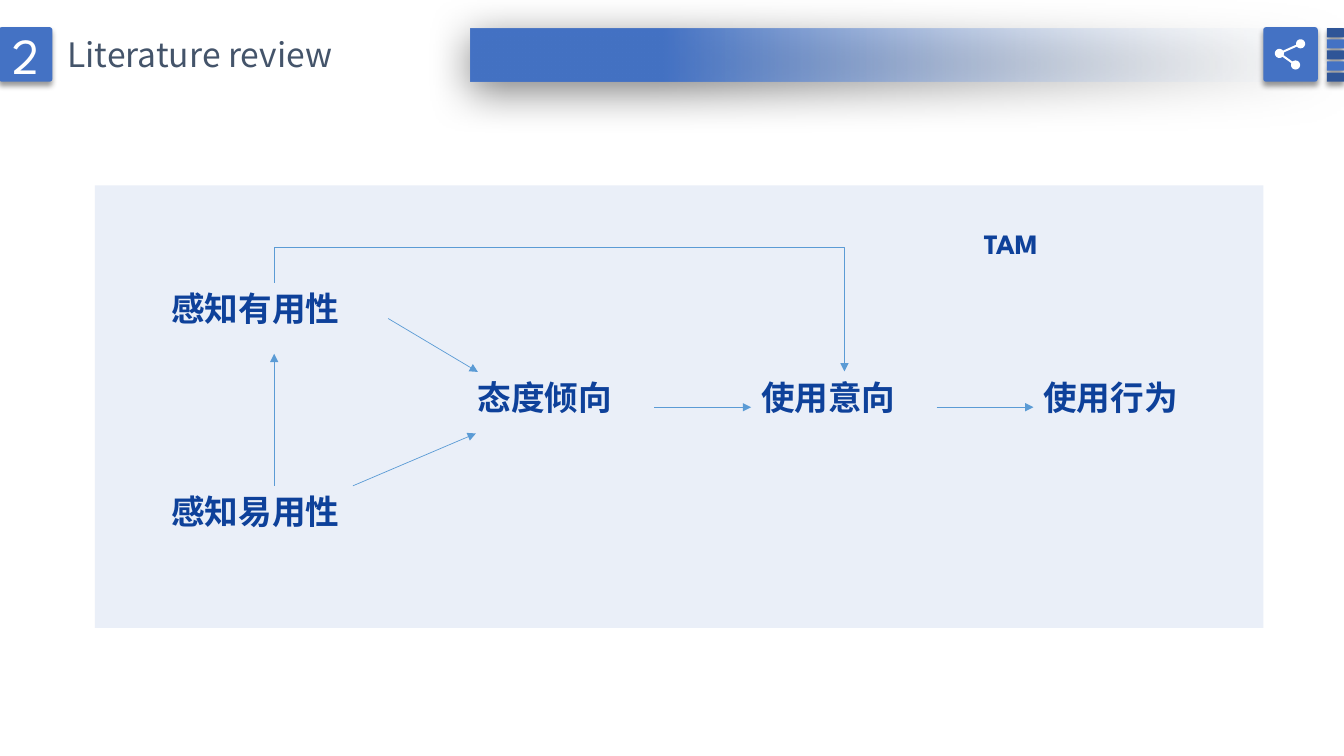
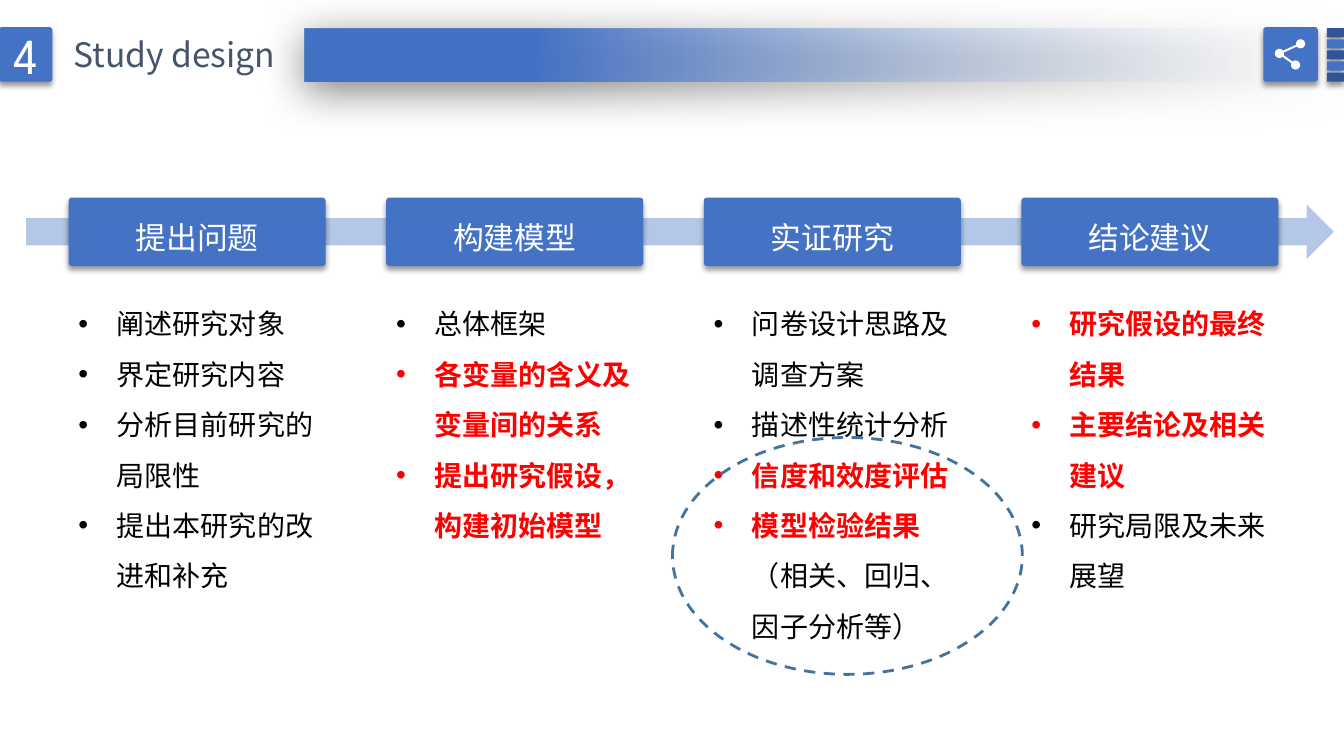
from dataclasses import dataclass
from math import cos, hypot, pi, sin

from lxml.etree import SubElement
from pptx import Presentation
from pptx.dml.color import RGBColor
from pptx.enum.dml import MSO_LINE_DASH_STYLE as DASH
from pptx.enum.shapes import MSO_CONNECTOR as CONN, MSO_SHAPE as SHAPE
from pptx.enum.text import MSO_ANCHOR as ANCHOR, MSO_AUTO_SIZE as AUTO, PP_ALIGN as ALIGN
from pptx.oxml.ns import qn
from pptx.util import Inches, Pt


@dataclass(frozen=True)
class Theme:
    """Colours, fonts and type sizes shared by the slides."""
    blue: str = "4472C4"
    dark_blue: str = "2F5597"
    pale_blue: str = "B4C7E7"
    fade: str = "F7FAFD"
    title: str = "44546A"
    node: str = "0E419A"
    arrow: str = "5B9BD5"
    ring: str = "43739E"
    hot: str = "FF0000"
    black: str = "000000"
    white: str = "FFFFFF"
    display: str = "League Spartan"
    body: str = "Noto Sans CJK SC"
    badge_size: int = 36
    title_size: int = 24
    step_size: int = 22
    text_size: int = 20


@dataclass(frozen=True)
class Shadow:
    """An outer shadow: opacity in percent, lengths in points, angle in degrees."""
    alpha: int
    blur: int
    dist: int
    angle: int


@dataclass(frozen=True)
class Node:
    """A label of the acceptance model."""
    text: str
    left: float
    top: float
    width: float
    size: int = 24


@dataclass(frozen=True)
class Link:
    """A straight arrow between two points."""
    x1: float
    y1: float
    x2: float
    y2: float


@dataclass(frozen=True)
class Part:
    """A run of a bullet, highlighted when hot."""
    text: str
    hot: bool = False


@dataclass(frozen=True)
class Step:
    """A stage of the study with its bullets."""
    name: str
    bullets: tuple[tuple[Part, ...], ...]


T = Theme()
SLIDE_W, SLIDE_H = 13.33, 7.5
TILE_SHADOW = Shadow(40, 4, 3, 90)
BAND_SHADOW = Shadow(50, 31, 6, 97)

NODES = (
    Node("感知有用性", 1.6, 2.81, 2.25),
    Node("感知易用性", 1.6, 4.82, 2.25),
    Node("态度倾向", 4.64, 3.69, 1.85),
    Node("使用意向", 7.45, 3.69, 1.85),
    Node("使用行为", 10.25, 3.69, 1.85),
    Node("TAM", 9.66, 2.2, 0.87, T.text_size),
)
LINKS = (
    Link(2.72, 4.82, 2.72, 3.51),
    Link(3.85, 3.16, 4.74, 3.69),
    Link(3.5, 4.82, 4.72, 4.3),
    Link(6.49, 4.04, 7.45, 4.04),
    Link(9.29, 4.04, 10.25, 4.04),
)
STEPS = (
    Step("提出问题", (
        (Part("阐述研究对象"),),
        (Part("界定研究内容"),),
        (Part("分析目前研究的局限性"),),
        (Part("提出本研究的改进和补充"),))),
    Step("构建模型", (
        (Part("总体框架"),),
        (Part("各变量的含义及变量间的关系", True),),
        (Part("提出研究假设，构建初始模型", True),))),
    Step("实证研究", (
        (Part("问卷设计思路及调查方案"),),
        (Part("描述性统计分析"),),
        (Part("信度和效度评估", True),),
        (Part("模型检验结果", True), Part("（相关、回归、因子分析等）")))),
    Step("结论建议", (
        (Part("研究假设的最终结果", True),),
        (Part("主要结论及相关建议", True),),
        (Part("研究局限及未来展望"),))),
)


def rgb(color: str) -> RGBColor:
    """Turn a hex string into a colour."""
    return RGBColor.from_string(color)


def set_alpha(s, percent: int) -> None:
    """Set the opacity of the first colour of a shape."""
    clr = next(s._element.spPr.iter(qn("a:srgbClr")))
    SubElement(clr, qn("a:alpha"), val=str(percent * 1000))


def add_shadow(s, shadow: Shadow) -> None:
    """Give a shape an outer shadow."""
    effects = s._element.spPr.find(qn("a:effectLst"))
    outer = SubElement(effects, qn("a:outerShdw"), blurRad=str(Pt(shadow.blur)),
                       dist=str(Pt(shadow.dist)), dir=str(shadow.angle * 60000),
                       algn="ctr", rotWithShape="0")
    clr = SubElement(outer, qn("a:srgbClr"), val=T.black)
    SubElement(clr, qn("a:alpha"), val=str(shadow.alpha * 1000))


def add_box(slide, kind: SHAPE, left: float, top: float, width: float, height: float,
            fill: str | None = None):
    """Add a preset shape with a plain fill, no line and no shadow."""
    s = slide.shapes.add_shape(kind, Inches(left), Inches(top), Inches(width), Inches(height))
    s.shadow.inherit = False
    s.line.fill.background()
    if fill:
        s.fill.solid()
        s.fill.fore_color.rgb = rgb(fill)
    else:
        s.fill.background()
    return s


def add_tile(slide, left: float, top: float, width: float, height: float, fill: str = T.blue):
    """Add a slightly rounded tile with a shadow."""
    s = add_box(slide, SHAPE.ROUNDED_RECTANGLE, left, top, width, height, fill)
    s.adjustments[0] = 0.05
    add_shadow(s, TILE_SHADOW)
    return s


def add_run(p, text: str, size: int, color: str, font: str, bold: bool = False) -> None:
    """Add a formatted run to a paragraph."""
    r = p.add_run()
    r.text = text
    r.font.size = Pt(size)
    r.font.bold = bold
    r.font.color.rgb = rgb(color)
    r.font.name = font
    SubElement(r._r.get_or_add_rPr(), qn("a:ea"), typeface=T.body)


def label_tile(s, text: str, size: int, font: str, spacing: float = 1.0) -> None:
    """Write centred white text in a tile."""
    tf = s.text_frame
    tf.vertical_anchor = ANCHOR.MIDDLE
    p = tf.paragraphs[0]
    p.alignment = ALIGN.CENTER
    p.line_spacing = spacing
    add_run(p, text, size, T.white, font)


def add_text(slide, left: float, top: float, width: float, height: float, wrap: bool = False):
    """Add a text box that grows with its text and return its frame."""
    tf = slide.shapes.add_textbox(Inches(left), Inches(top), Inches(width),
                                  Inches(height)).text_frame
    tf.word_wrap = wrap
    tf.auto_size = AUTO.SHAPE_TO_FIT_TEXT
    return tf


def add_arrow(slide, link: Link, kind: CONN = CONN.STRAIGHT):
    """Add a thin connector with an arrowhead at its end."""
    c = slide.shapes.add_connector(kind, Inches(link.x1), Inches(link.y1),
                                   Inches(link.x2), Inches(link.y2))
    c.line.color.rgb = rgb(T.arrow)
    c.line.width = Pt(0.5)
    sp_pr = c._element.spPr
    SubElement(sp_pr.find(qn("a:ln")), qn("a:tailEnd"), type="triangle")
    SubElement(sp_pr, qn("a:effectLst"))
    return c


def add_share_icon(slide) -> None:
    """Draw three linked dots as one white outline."""
    radius, half = 0.045, 0.01
    hub, *ends = dots = ((12.69, 0.53), (12.9, 0.435), (12.85, 0.645))
    turns = [2 * pi * i / 24 for i in range(24)]
    contours = [[(x + radius * cos(a), y + radius * sin(a)) for a in turns] for x, y in dots]
    for x, y in ends:
        length = hypot(x - hub[0], y - hub[1])
        ux, uy = (x - hub[0]) / length, (y - hub[1]) / length
        contours.append([(hub[0] + ux * d - uy * w, hub[1] + uy * d + ux * w)
                         for d, w in ((radius, -half), (length - radius, -half),
                                      (length - radius, half), (radius, half))])
    points = [[(Inches(x), Inches(y)) for x, y in contour] for contour in contours]
    builder = slide.shapes.build_freeform(*points[0][0])
    for i, contour in enumerate(points):
        if i:
            builder.move_to(*contour[0])
        builder.add_line_segments(contour[1:], close=True)
    s = builder.convert_to_shape()
    s.shadow.inherit = False
    s.fill.solid()
    s.fill.fore_color.rgb = rgb(T.white)
    s.line.fill.background()


def add_header(slide, number: str, title: str, title_left: float, band_left: float) -> None:
    """Draw the fading band, number badge, title and corner icon."""
    band = add_box(slide, SHAPE.RECTANGLE, band_left, 0.28, SLIDE_W - band_left, 0.53)
    band.fill.gradient()
    band.fill.gradient_angle = 180
    for stop, position, color in zip(band.fill.gradient_stops, (0, 0.78), (T.fade, T.blue)):
        stop.position = position
        stop.color.rgb = rgb(color)
    set_alpha(band, 0)
    add_shadow(band, BAND_SHADOW)
    badge = add_tile(slide, -0.01, 0.27, 0.53, 0.54)
    label_tile(badge, number, T.badge_size, T.display)
    tf = add_text(slide, title_left, 0.29, 2.88, 0.5)
    add_run(tf.paragraphs[0], title, T.title_size, T.title, T.body)
    for i in range(5):
        add_tile(slide, 13.16, 0.28 + 0.11 * i, 0.17, 0.09, T.blue if i % 2 else T.dark_blue)
    add_tile(slide, 12.53, 0.27, 0.54, 0.54)
    add_share_icon(slide)


def build_review(slide) -> None:
    """Build the literature review slide with the acceptance model."""
    add_header(slide, "2", "Literature review", 0.57, 4.67)
    panel = add_box(slide, SHAPE.RECTANGLE, 0.94, 1.84, 11.59, 4.39, T.pale_blue)
    set_alpha(panel, 28)
    for node in NODES:
        tf = add_text(slide, node.left, node.top, node.width, 0.7)
        add_run(tf.paragraphs[0], node.text, node.size, T.node, T.display, True)
    for link in LINKS:
        add_arrow(slide, link)
    # The elbow is laid out upright, then turned so that it leaves and arrives vertically.
    elbow = add_arrow(slide, Link(5.99, 0.42, 5.11, 6.07), CONN.ELBOW)
    elbow._element.spPr.find(qn("a:xfrm")).set("rot", str(270 * 60000))
    guides = elbow._element.spPr.find(qn("a:prstGeom")).find(qn("a:avLst"))
    SubElement(guides, qn("a:gd"), name="adj1", fmla="val -39700")


def add_bullets(slide, left: float, bullets: tuple[tuple[Part, ...], ...]) -> None:
    """Write the bullets of one step."""
    tf = add_text(slide, left, 2.83, 2.68, 3.07, wrap=True)
    for i, parts in enumerate(bullets):
        p = tf.add_paragraph() if i else tf.paragraphs[0]
        p.line_spacing = 1.5
        p_pr = p._p.get_or_add_pPr()
        p_pr.set("marL", str(Inches(0.38)))
        p_pr.set("indent", str(-Inches(0.38)))
        SubElement(p_pr, qn("a:buFont"), typeface="Arial")
        SubElement(p_pr, qn("a:buChar"), char="•")
        for part in parts:
            add_run(p, part.text, T.text_size, T.hot if part.hot else T.black,
                    T.display, part.hot)


def build_design(slide) -> None:
    """Build the study design slide with its four steps."""
    add_header(slide, "4", "Study design", 0.63, 3.02)
    add_box(slide, SHAPE.RIGHT_ARROW, 0.26, 2.03, 12.97, 0.54, T.pale_blue)
    for i, step in enumerate(STEPS):
        left = 0.68 + 3.15 * i
        tile = add_tile(slide, left, 1.96, 2.55, 0.68)
        label_tile(tile, step.name, T.step_size, T.body, 1.3)
        add_bullets(slide, left, step.bullets)
    ring = add_box(slide, SHAPE.OVAL, 6.67, 4.34, 3.47, 2.35)
    ring.line.color.rgb = rgb(T.ring)
    ring.line.width = Pt(2)
    ring.line.dash_style = DASH.DASH


prs = Presentation()
prs.slide_width, prs.slide_height = Inches(SLIDE_W), Inches(SLIDE_H)
for build in (build_review, build_design):
    build(prs.slides.add_slide(prs.slide_layouts[6]))
prs.save("out.pptx")
